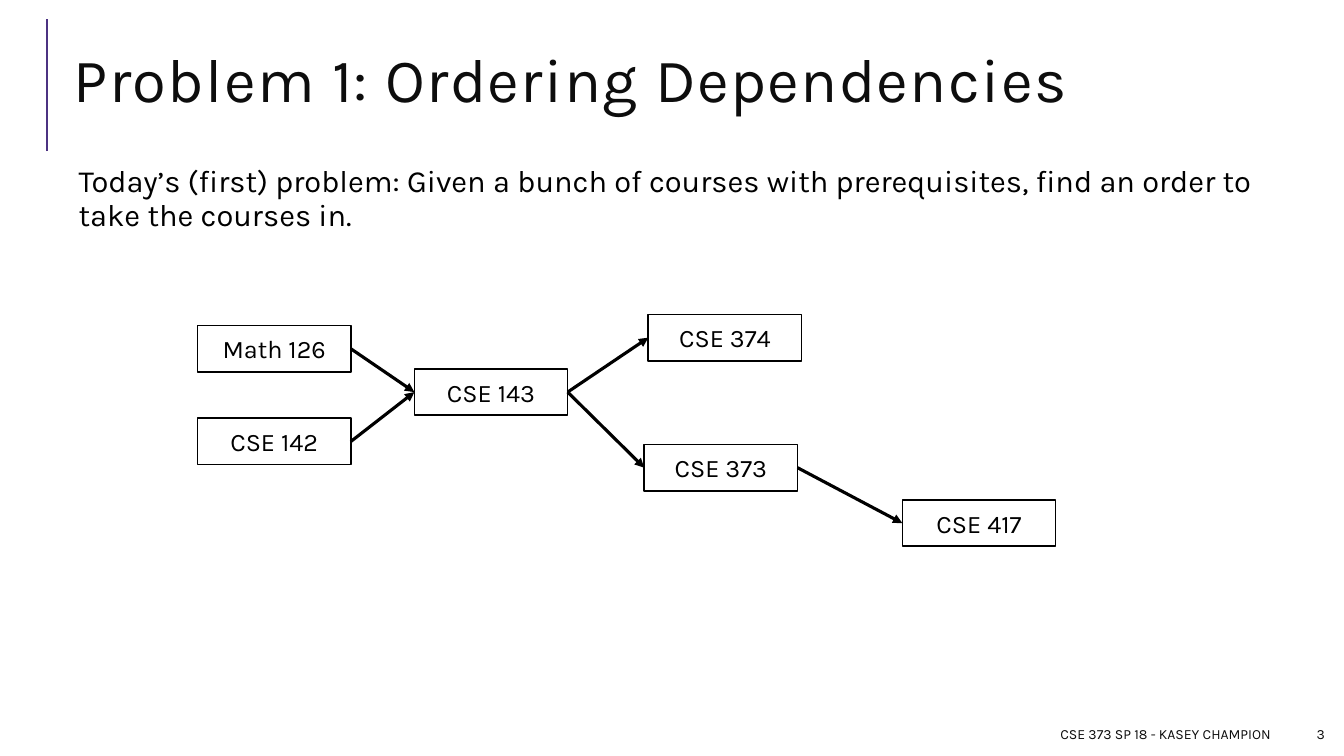
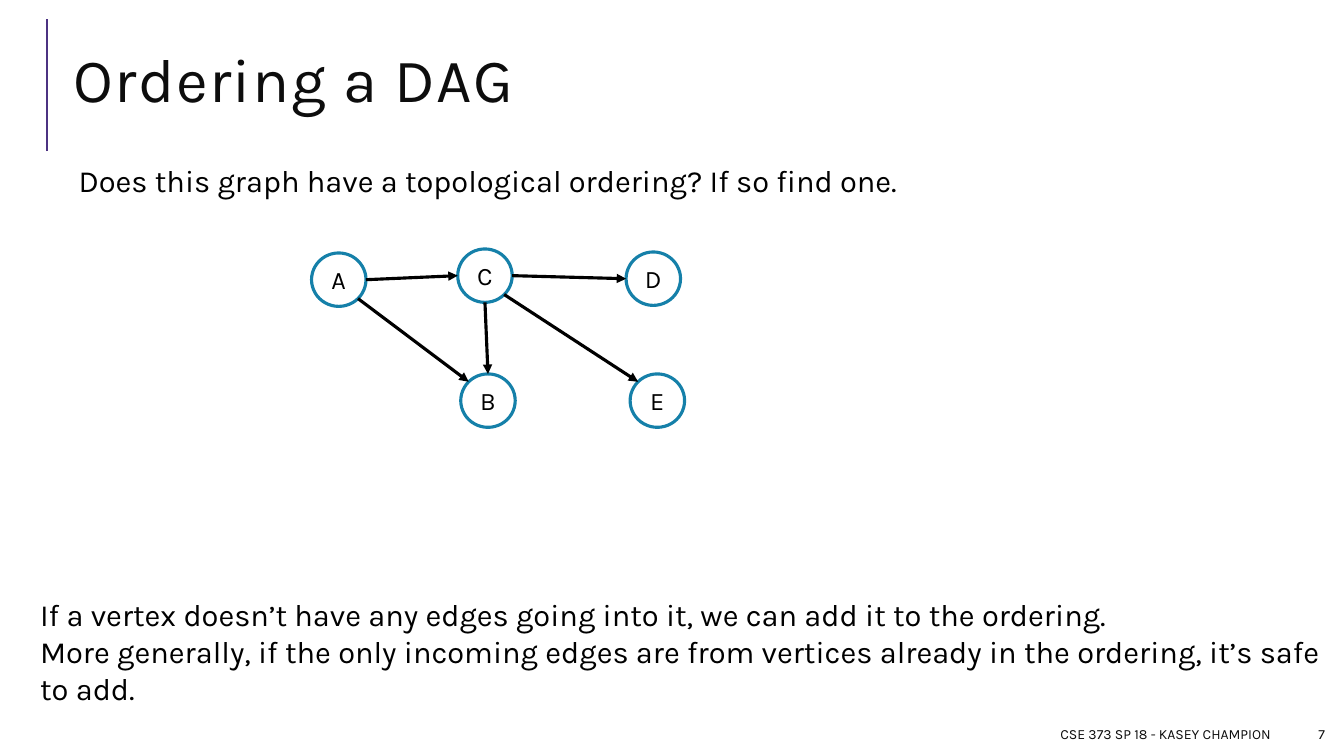
from dataclasses import dataclass
from math import copysign, sqrt
from typing import Any, NamedTuple

from lxml.etree import SubElement
from pptx import Presentation
from pptx.dml.color import RGBColor
from pptx.enum.shapes import MSO_CONNECTOR as Connector, MSO_SHAPE as Preset
from pptx.enum.text import MSO_ANCHOR as Anchor, MSO_AUTO_SIZE as AutoSize, PP_ALIGN as Align
from pptx.oxml.ns import qn
from pptx.util import Inches, Pt


@dataclass(frozen=True)
class Theme:
    font: str = "Karla"
    white: RGBColor = RGBColor(0xFF, 0xFF, 0xFF)
    black: RGBColor = RGBColor(0, 0, 0)
    ink: RGBColor = RGBColor(0x0D, 0x0D, 0x0D)
    purple: RGBColor = RGBColor(0x4C, 0x32, 0x82)
    blue: RGBColor = RGBColor(0x15, 0x80, 0xA9)
    title_size: float = 44
    body_size: float = 22
    label_size: float = 18
    footer_size: float = 10
    title_tracking: int = 100
    rule_width: float = 1.5
    box_width: float = 1.25
    graph_width: float = 2.25


THEME = Theme()
FOOTER = "CSE 373 SP 18 - KASEY CHAMPION"


class Area(NamedTuple):
    left: float
    top: float
    width: float
    height: float


class Node(NamedTuple):
    label: str
    left: float
    top: float


class Edge(NamedTuple):
    source: str
    target: str
    leave: tuple[int, int] = (1, 0)
    enter: tuple[int, int] = (-1, 0)


@dataclass(frozen=True)
class NodeStyle:
    preset: Any
    width: float
    height: float
    line_color: RGBColor
    line_width: float


COURSE = NodeStyle(Preset.RECTANGLE, 1.52, 0.46, THEME.black, THEME.box_width)
VERTEX = NodeStyle(Preset.OVAL, 0.54, 0.53, THEME.blue, THEME.graph_width)

COURSES = [
    Node("Math 126", 1.96, 3.23),
    Node("CSE 142", 1.96, 4.15),
    Node("CSE 143", 4.11, 3.66),
    Node("CSE 373", 6.39, 4.41),
    Node("CSE 374", 6.43, 3.12),
    Node("CSE 417", 8.95, 4.96),
]
PREREQUISITES = [
    Edge("Math 126", "CSE 143"),
    Edge("CSE 142", "CSE 143"),
    Edge("CSE 143", "CSE 374"),
    Edge("CSE 143", "CSE 373"),
    Edge("CSE 373", "CSE 417"),
]
VERTICES = [
    Node("A", 3.09, 2.51),
    Node("B", 4.57, 3.71),
    Node("C", 4.54, 2.47),
    Node("E", 6.25, 3.71),
    Node("D", 6.21, 2.5),
]
DAG_EDGES = [
    Edge("A", "B", (1, 1), (-1, -1)),
    Edge("A", "C"),
    Edge("C", "B", (0, 1), (0, -1)),
    Edge("C", "D"),
    Edge("C", "E", (1, 1), (-1, -1)),
]


def set_all(target: Any, values: dict[str, Any]) -> None:
    for name, value in values.items():
        setattr(target, name, value)


def write(shape: Any, lines: list[str], size: float, color: RGBColor,
          frame_format: dict[str, Any] | None = None,
          paragraph_format: dict[str, Any] | None = None) -> None:
    frame = shape.text_frame
    set_all(frame, {"word_wrap": True, "auto_size": AutoSize.NONE, **(frame_format or {})})
    frame.text = "\n".join(lines)
    for paragraph in frame.paragraphs:
        set_all(paragraph, paragraph_format or {})
        for run in paragraph.runs:
            set_all(run.font, {"name": THEME.font, "size": Pt(size)})
            run.font.color.rgb = color


def add_text(slide: Any, area: Area, lines: list[str], size: float, color: RGBColor,
             frame_format: dict[str, Any] | None = None,
             paragraph_format: dict[str, Any] | None = None) -> Any:
    shape = slide.shapes.add_textbox(*map(Inches, area))
    write(shape, lines, size, color, frame_format, paragraph_format)
    return shape


def add_line(slide: Any, start: tuple[float, float], end: tuple[float, float],
             color: RGBColor, width: float, arrow: bool = False) -> Any:
    connector = slide.shapes.add_connector(Connector.STRAIGHT, *map(Inches, (*start, *end)))
    connector.line.color.rgb = color
    connector.line.width = Pt(width)
    if arrow:
        SubElement(connector.get_or_add_ln(), qn("a:tailEnd"), type="triangle")
    SubElement(connector._element.spPr, qn("a:effectLst"))
    return connector


def add_node(slide: Any, node: Node, style: NodeStyle) -> Any:
    area = Area(node.left, node.top, style.width, style.height)
    shape = slide.shapes.add_shape(style.preset, *map(Inches, area))
    shape.shadow.inherit = False
    shape.fill.solid()
    shape.fill.fore_color.rgb = THEME.white
    shape.line.color.rgb = style.line_color
    shape.line.width = Pt(style.line_width)
    write(shape, [node.label], THEME.label_size, THEME.black,
          {"vertical_anchor": Anchor.MIDDLE}, {"alignment": Align.CENTER})
    return shape


def rim_point(node: Node, style: NodeStyle, direction: tuple[int, int]) -> tuple[float, float]:
    reach = 0.5 / sqrt(sum(abs(step) for step in direction))
    across, down = (copysign(reach, step) if step else 0 for step in direction)
    return (node.left + style.width * (0.5 + across), node.top + style.height * (0.5 + down))


def add_graph(slide: Any, nodes: list[Node], edges: list[Edge], style: NodeStyle) -> None:
    places = {node.label: node for node in nodes}
    shapes = {node.label: add_node(slide, node, style) for node in nodes}
    for edge in edges:
        start = rim_point(places[edge.source], style, edge.leave)
        end = rim_point(places[edge.target], style, edge.enter)
        connector = add_line(slide, start, end, THEME.black, THEME.graph_width, arrow=True)
        if style.preset == Preset.RECTANGLE:
            connector.begin_connect(shapes[edge.source], 3)
            connector.end_connect(shapes[edge.target], 1)


def add_page(presentation: Any, title: str, question: str, number: int) -> Any:
    slide = presentation.slides.add_slide(presentation.slide_layouts[5])
    add_line(slide, (0.47, 1.5), (0.47, 0.19), THEME.purple, THEME.rule_width)

    heading = slide.shapes.title
    set_all(heading, dict(zip(Area._fields, map(Inches, (0.63, 0.29, 12.23, 1.11)))))
    write(heading, [title], THEME.title_size, THEME.ink, {"vertical_anchor": Anchor.MIDDLE},
          {"alignment": Align.LEFT, "line_spacing": 0.8})
    for run in heading.text_frame.paragraphs[0].runs:
        run._r.get_or_add_rPr().set("spc", str(THEME.title_tracking))

    margins = {f"margin_{side}": Inches(0.05) for side in ("top", "right", "bottom")}
    add_text(slide, Area(0.63, 1.6, 12.23, 0.87), [question], THEME.body_size, THEME.black,
             {**margins, "margin_left": Inches(0.15)}, {"line_spacing": 0.9})
    for area, text in ((Area(6.25, 7.13, 6.45, 0.3), FOOTER),
                       (Area(12.78, 7.13, 0.46, 0.3), str(number))):
        add_text(slide, area, [text], THEME.footer_size, THEME.ink,
                 {"vertical_anchor": Anchor.MIDDLE}, {"alignment": Align.RIGHT})
    return slide


def main() -> None:
    presentation = Presentation()
    set_all(presentation, {"slide_width": Inches(13.33), "slide_height": Inches(7.5)})

    courses = add_page(
        presentation, "Problem 1: Ordering Dependencies",
        "Today’s (first) problem: Given a bunch of courses with prerequisites, "
        "find an order to take the courses in.", 3)
    add_graph(courses, COURSES, PREREQUISITES, COURSE)

    dag = add_page(presentation, "Ordering a DAG",
                   "Does this graph have a topological ordering? If so find one.", 7)
    add_graph(dag, VERTICES, DAG_EDGES, VERTEX)
    add_text(dag, Area(0.3, 5.86, 12.89, 1.25), [
        "If a vertex doesn’t have any edges going into it, we can add it to the ordering.",
        "More generally, if the only incoming edges are from vertices already in the ordering, "
        "it’s safe to add.",
    ], THEME.body_size, THEME.black)

    presentation.save("out.pptx")


if __name__ == "__main__":
    main()
